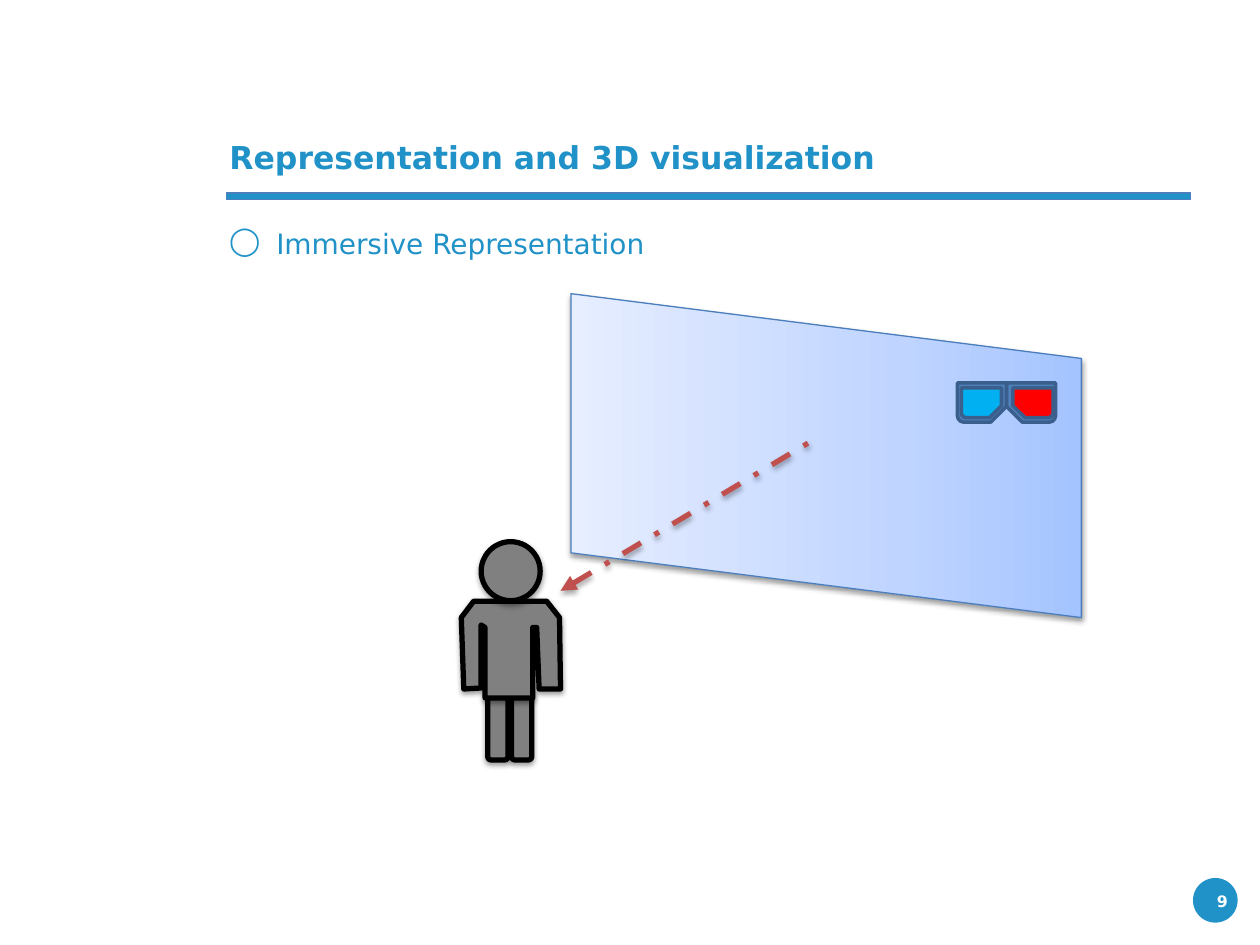
import copy

import pptx
import pptx.dml.color
import pptx.enum.dml
import pptx.enum.shapes
import pptx.enum.text
import pptx.oxml
import pptx.oxml.ns
import pptx.util
from lxml import etree

Cm = pptx.util.Cm
Pt = pptx.util.Pt
SHAPE = pptx.enum.shapes.MSO_SHAPE
ALIGN = pptx.enum.text.PP_ALIGN
MIDDLE = pptx.enum.text.MSO_ANCHOR.MIDDLE

BLUE = "2192C8"
OUTLINE = "4B7EBC"
GLASSES_LINE = "3A5F8C"
SNIP = (0.167, 0.403)


def color(hex_string):
    return pptx.dml.color.RGBColor.from_string(hex_string)


def add_element(parent, tag, **attributes):
    return etree.SubElement(parent, pptx.oxml.ns.qn(tag), attributes)


class SlideBuilder:
    font = "DejaVu Sans"

    def __init__(self, slide):
        self.slide = slide

    def set_text(self, shape, text, size, hex_string, bold=False, align=ALIGN.LEFT, anchor=None):
        frame = shape.text_frame
        frame.word_wrap = True
        frame.text = text
        if anchor is not None:
            frame.vertical_anchor = anchor
        paragraph = frame.paragraphs[0]
        paragraph.alignment = align
        font = paragraph.runs[0].font
        font.name, font.size, font.bold = self.font, Pt(size), bold
        font.color.rgb = color(hex_string)
        return paragraph

    def title(self, text, left, top, width, height):
        shape = self.slide.shapes.title
        shape.left, shape.top, shape.width, shape.height = map(Cm, (left, top, width, height))
        self.set_text(shape, text, 18, BLUE, bold=True, anchor=MIDDLE)

    def text(self, text, left, top, width, height, *style, **options):
        box = self.slide.shapes.add_textbox(*map(Cm, (left, top, width, height)))
        return self.set_text(box, text, *style, **options)

    def bullet(self, text, left, top, width, height):
        paragraph = self.text(text, left, top, width, height, 16, BLUE, align=ALIGN.JUSTIFY)
        properties = paragraph._p.get_or_add_pPr()
        properties.set("marL", str(Cm(0.95)))
        properties.set("indent", str(-Cm(0.95)))
        add_element(properties, "a:buChar", char="◯")
        paragraph.space_after = Pt(6)

    def shadow(self, effects, opacity, distance):
        outer = add_element(effects, "a:outerShdw", blurRad=str(Pt(3.1)), dist=str(Pt(distance)),
                            dir="5400000", rotWithShape="0")
        black = add_element(outer, "a:srgbClr", val="000000")
        add_element(black, "a:alpha", val=str(opacity * 1000))

    def finish(self, shape, fill, line, weight, shadow):
        shape.shadow.inherit = False
        if fill:
            shape.fill.solid()
            shape.fill.fore_color.rgb = color(fill)
        if line:
            shape.line.color.rgb = color(line)
            shape.line.width = Pt(weight)
        else:
            shape.line.fill.background()
        if shadow:
            self.shadow(shape._element.spPr.find(pptx.oxml.ns.qn("a:effectLst")), 38, 1.6)
        return shape

    def shape(self, kind, left, top, width, height, fill=None, line=None, weight=0.75,
              shadow=False, rotation=0, flip=False, adjustments=(), group=None):
        shapes = (group or self.slide).shapes
        shape = shapes.add_shape(kind, *map(Cm, (left, top, width, height)))
        shape.rotation = rotation
        if flip:
            shape._element.spPr.get_or_add_xfrm().set("flipH", "1")
        for index, value in enumerate(adjustments):
            shape.adjustments[index] = value
        return self.finish(shape, fill, line, weight, shadow)

    def outline(self, points, fill, line, weight, shadow, group):
        points = [(Cm(x), Cm(y)) for x, y in points]
        builder = group.shapes.build_freeform(*points[0])
        builder.add_line_segments(points[1:], close=True)
        return self.finish(builder.convert_to_shape(), fill, line, weight, shadow)

    def gradient(self, shape, stops, angle):
        shape.fill.gradient()
        shape.fill.gradient_angle = angle
        stop_list = shape._element.spPr.find(".//" + pptx.oxml.ns.qn("a:gsLst"))
        while len(stop_list) < len(stops):
            stop_list.append(copy.deepcopy(stop_list[0]))
        for stop, (position, hex_string) in zip(shape.fill.gradient_stops, stops):
            stop.position = position
            stop.color.rgb = color(hex_string)

    def arrow(self, tip, tail, hex_string, weight):
        """Draw a dash-dot line with its arrowhead at the tip."""
        connector = self.slide.shapes.add_connector(
            pptx.enum.shapes.MSO_CONNECTOR.STRAIGHT, *map(Cm, (*tip, *tail)))
        connector.line.color.rgb = color(hex_string)
        connector.line.width = Pt(weight)
        connector.line.dash_style = pptx.enum.dml.MSO_LINE.DASH_DOT
        add_element(connector.line._get_or_add_ln(), "a:headEnd", type="triangle")
        self.shadow(add_element(connector._element.spPr, "a:effectLst"), 35, 1.8)

    def person(self):
        group = self.slide.shapes.add_group_shape()
        style = dict(fill="808080", line="000000", weight=3, shadow=True, group=group)
        for left in (9.83, 10.31):
            self.shape(SHAPE.ROUND_2_SAME_RECTANGLE, left, 13.92, 0.41, 1.4, rotation=180, **style)
        torso = [(9.35, 13.89), (9.3, 12.45), (9.55, 12.12), (11.02, 12.12), (11.28, 12.45),
                 (11.3, 13.89), (10.87, 13.89), (10.82, 12.65), (10.74, 12.65), (10.74, 14.07),
                 (9.78, 14.07), (9.78, 12.65), (9.7, 12.6), (9.7, 13.87)]
        self.outline(torso, **style)
        self.shape(SHAPE.OVAL, 9.7, 10.92, 1.19, 1.19, **style)

    def glasses(self):
        group = self.slide.shapes.add_group_shape()
        style = dict(line=GLASSES_LINE, weight=2, rotation=180, adjustments=SNIP, group=group)
        for left, flip in ((20.29, False), (19.3, True)):
            self.shape(SHAPE.SNIP_ROUND_RECTANGLE, left, 7.72, 0.99, 0.79,
                       fill="4F81BD", flip=flip, **style)
        for left, fill, flip in ((20.42, "FF0000", False), (19.38, "00B0F0", True)):
            self.shape(SHAPE.SNIP_ROUND_RECTANGLE, left, 7.82, 0.81, 0.6,
                       fill=fill, flip=flip, **style)


def main():
    presentation = pptx.Presentation()
    presentation.slide_width, presentation.slide_height = Cm(25.4), Cm(19.05)
    builder = SlideBuilder(presentation.slides.add_slide(presentation.slide_layouts[5]))

    builder.shape(SHAPE.OVAL, 24.05, 17.7, 0.9, 0.9, fill=BLUE)
    builder.shape(SHAPE.RECTANGLE, 4.57, 3.89, 19.43, 0.13, fill=BLUE, line=OUTLINE)
    builder.text("9", 23.5, 17.65, 1.5, 1.02, 9, "FFFFFF", bold=True,
                 align=ALIGN.RIGHT, anchor=MIDDLE)
    builder.title("Representation and 3D visualization", 4.37, 2.39, 19.76, 1.55)
    builder.bullet("Immersive Representation", 4.37, 4.45, 19.76, 1.12)

    screen = builder.shape(SHAPE.FLOWCHART_DATA, 13.39, 4.04, 6.53, 10.29,
                           line=OUTLINE, shadow=True, rotation=270)
    builder.gradient(screen, [(0, "A4C4FF"), (0.35, "BFD4FF"), (1, "E6EEFF")], 90)
    builder.person()
    builder.arrow((11.3, 11.91), (16.31, 8.92), "C0504D", 3)
    builder.glasses()
    presentation.save("out.pptx")


if __name__ == "__main__":
    main()
